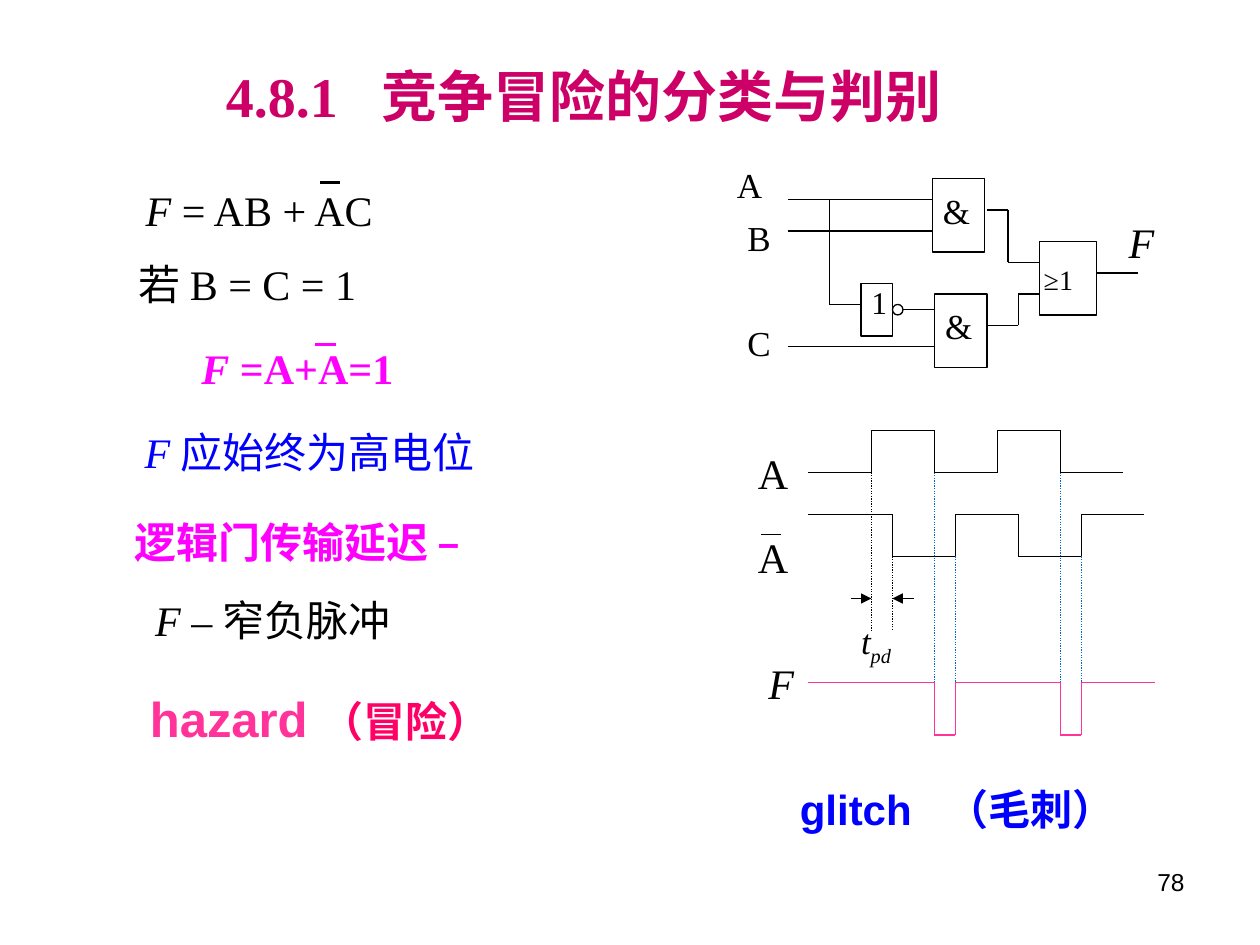
from dataclasses import dataclass
from itertools import pairwise
from typing import NamedTuple

from lxml import etree
from pptx import Presentation
from pptx.dml.color import RGBColor
from pptx.enum.dml import MSO_LINE
from pptx.enum.shapes import MSO_CONNECTOR, MSO_SHAPE
from pptx.enum.text import MSO_ANCHOR, MSO_AUTO_SIZE, PP_ALIGN
from pptx.oxml.ns import qn
from pptx.util import Inches, Pt

STRAIGHT = MSO_CONNECTOR.STRAIGHT
RECT, OVAL = MSO_SHAPE.RECTANGLE, MSO_SHAPE.OVAL
LEFT, RIGHT = PP_ALIGN.LEFT, PP_ALIGN.RIGHT
TOP = MSO_ANCHOR.TOP
NO_FIT = MSO_AUTO_SIZE.NONE
DOTTED = MSO_LINE.ROUND_DOT
SERIF, SANS = "Times New Roman", "Arial"
COLORS = {
    "black": "000000", "white": "FFFFFF", "title": "CC0066", "blue": "0000FF",
    "magenta": "FF00FF", "pulse": "FF3399", "hazard": "FF0066", "guide": "0066CC",
}
SLIDE_W, SLIDE_H = Inches(10), Inches(7.5)
COLS, ROWS = 120, 90


class Span(NamedTuple):
    """A stretch of text in one format."""
    text: str
    size: float = 24
    color: str = "black"
    italic: bool = False
    bold: bool = False
    font: str = SERIF
    baseline: int = 0


@dataclass
class Label:
    """Text in a box given as column, row, columns wide and rows high."""
    box: tuple
    spans: list
    inset: bool = True
    align: int = LEFT
    tab: float = 0


@dataclass
class Wire:
    """A chain of straight segments through grid points."""
    points: list
    color: str = "black"
    width: float = 0.75
    dotted: bool = False
    arrow: bool = False


class Gate(NamedTuple):
    """An outlined logic symbol with its sign."""
    box: tuple
    kind: int = RECT
    sign: str = ""
    size: float = 20
    sign_box: tuple = ()


def col(n: float) -> int:
    """Return the length of n grid columns."""
    return round(SLIDE_W * n / COLS)


def row(n: float) -> int:
    """Return the length of n grid rows."""
    return round(SLIDE_H * n / ROWS)


def place(box: tuple) -> tuple:
    """Turn a grid box into slide lengths."""
    left, top, width, height = box
    return col(left), row(top), col(width), row(height)


def rgb(name: str) -> RGBColor:
    """Look up a colour by name."""
    return RGBColor.from_string(COLORS[name])


def write(frame, label: Label) -> None:
    """Fill a text frame with the spans of a label."""
    frame.word_wrap = True
    frame.auto_size = NO_FIT
    frame.vertical_anchor = TOP
    if not label.inset:
        frame.margin_left = frame.margin_right = frame.margin_top = frame.margin_bottom = 0
    paragraph = frame.paragraphs[0]
    paragraph.alignment = label.align
    if label.tab:
        stops = etree.SubElement(paragraph._p.get_or_add_pPr(), qn("a:tabLst"))
        etree.SubElement(stops, qn("a:tab"), pos=str(col(label.tab)), algn="l")
    for span in label.spans:
        run = paragraph.add_run()
        run.text = span.text
        run.font.size, run.font.name = Pt(span.size), span.font
        run.font.bold, run.font.italic = span.bold, span.italic
        run.font.color.rgb = rgb(span.color)
        if span.baseline:
            run.font._element.set("baseline", str(span.baseline * 1000))


def draw_label(slide, label: Label) -> None:
    """Add a text box for a label."""
    write(slide.shapes.add_textbox(*place(label.box)).text_frame, label)


def draw_gate(slide, gate: Gate) -> None:
    """Add the outline of a gate and its sign."""
    outline = slide.shapes.add_shape(gate.kind, *place(gate.box))
    outline.shadow.inherit = False
    outline.fill.solid()
    outline.fill.fore_color.rgb = rgb("white")
    outline.line.color.rgb = rgb("black")
    outline.line.width = Pt(0.75)
    if gate.sign:
        draw_label(slide, Label(gate.sign_box, [Span(gate.sign, gate.size)], inset=False))


def draw_wire(slide, wire: Wire) -> None:
    """Add one connector for each segment of a wire."""
    for (x1, y1), (x2, y2) in pairwise(wire.points):
        segment = slide.shapes.add_connector(STRAIGHT, col(x1), row(y1), col(x2), row(y2))
        segment.line.color.rgb = rgb(wire.color)
        segment.line.width = Pt(wire.width)
        if wire.dotted:
            segment.line.dash_style = DOTTED
        properties = segment._element.spPr
        if wire.arrow:
            etree.SubElement(properties.find(qn("a:ln")), qn("a:tailEnd"), type="triangle")
        etree.SubElement(properties, qn("a:effectLst"))


def waveform(start: float, end: float, edges: list, idle: float, active: float) -> list:
    """Return the corners of a signal that toggles at each edge."""
    points, level, other = [(start, idle)], idle, active
    for edge in edges:
        points += [(edge, level), (edge, other)]
        level, other = other, level
    return points + [(end, level)]


TITLE = Label((20.3, 5.3, 81.8, 7.7),
              [Span("4.8.1\t竞争冒险的分类与判别", 32, "title", bold=True)], tab=14.8)
LABELS = [
    Label((86, 82, 28, 6.2), [Span("78", 14, font=SANS)], align=RIGHT),
    Label((12.7, 17, 31.2, 6), [Span("F ", italic=True), Span("= AB + AC")]),
    Label((12, 24, 33, 6), [Span("若 B = C = 1")]),
    Label((18, 32, 21, 6), [Span("F", color="magenta", italic=True, bold=True),
                            Span(" =A+A=1", color="magenta", bold=True)]),
    Label((12.6, 40, 34.2, 6), [Span("F ", color="blue", italic=True),
                                Span("应始终为高电位", color="blue")]),
    Label((11.6, 48.6, 34.2, 6.2), [Span("逻辑门传输延迟 –", color="magenta", bold=True)]),
    Label((13.6, 56, 25.7, 6), [Span("F", italic=True), Span(" – 窄负脉冲")]),
    Label((13.1, 65, 43, 6.8), [Span("hazard ", 28, "pulse", bold=True, font=SANS),
                                Span("（冒险）", color="hazard", bold=True, font=SANS)]),
    Label((75, 74, 35, 6), [Span("glitch\t（毛刺）", color="blue", bold=True, font=SANS)], tab=14),
    Label((106.3, 20, 5.2, 6), [Span("F", italic=True)]),
    Label((69, 15, 4.2, 5.2), [Span("A", 20)]),
    Label((70, 20, 4.2, 5.2), [Span("B", 20)]),
    Label((70, 30, 4.2, 5.2), [Span("C", 20)]),
    Label((71, 42, 5.2, 6), [Span("A")]),
    Label((71, 50, 4.2, 6), [Span("A")]),
    Label((72, 62, 4.2, 6), [Span("F", italic=True)]),
    Label((82, 59, 4.2, 4), [Span("t", 20, italic=True),
                             Span("pd", 20, italic=True, baseline=-25)], inset=False),
]
GATES = [
    Gate((88.8, 17, 5, 7), sign="&", sign_box=(89.8, 18, 3.2, 4)),
    Gate((89, 28, 5, 7), sign="&", sign_box=(90, 29, 3.2, 4)),
    Gate((99, 23, 5.4, 7), sign="≥1", size=16, sign_box=(99.4, 25, 4, 3.2)),
    Gate((82, 27, 3, 5), sign="1", size=18, sign_box=(83, 27, 1, 3.6)),
    Gate((85, 29, 1, 1), OVAL),
]
CIRCUIT = [
    Wire([(75, 19), (88.8, 19)]),
    Wire([(75, 22), (88.8, 22)]),
    Wire([(79, 19), (79, 29), (82, 29)]),
    Wire([(86, 29.5), (89, 29.5)]),
    Wire([(75, 33), (89, 33)]),
    Wire([(94, 20), (96, 20), (96, 25), (99, 25)]),
    Wire([(94, 31), (97, 31), (97, 28), (99, 28)]),
    Wire([(104.4, 26), (108.4, 26)]),
]
OVERBARS = [
    Wire([(30.5, 17.4), (32.4, 17.4)], width=1.5),
    Wire([(30, 32.8), (32, 32.8)], "magenta", 1.5),
    Wire([(72.5, 50.9), (74.4, 50.9)]),
]
TIMING = [
    Wire(waveform(77, 107, [83, 89, 95, 101], 45, 41)),
    Wire(waveform(77, 109, [85, 91, 97, 103], 49, 53)),
    *(Wire([(x, top), (x, bottom)], color, dotted=True)
      for left, bottom, color in [(83, 60, "black"), (89, 66, "guide"), (101, 65, "guide")]
      for x, top in [(left, 45), (left + 2, 53)]),
    Wire(waveform(77, 110, [89, 91, 101, 103], 65, 70), "pulse"),
    Wire([(81, 57), (83, 57)], arrow=True),
    Wire([(87, 57), (85, 57)], arrow=True),
]


def main() -> None:
    """Build the slide and save it."""
    deck = Presentation()
    deck.slide_width, deck.slide_height = SLIDE_W, SLIDE_H
    slide = deck.slides.add_slide(deck.slide_layouts.get_by_name("Title Only"))
    heading = slide.shapes.title
    heading.left, heading.top, heading.width, heading.height = place(TITLE.box)
    write(heading.text_frame, TITLE)
    for gate in GATES:
        draw_gate(slide, gate)
    for wire in CIRCUIT + OVERBARS + TIMING:
        draw_wire(slide, wire)
    for label in LABELS:
        draw_label(slide, label)
    deck.save("out.pptx")


if __name__ == "__main__":
    main()
